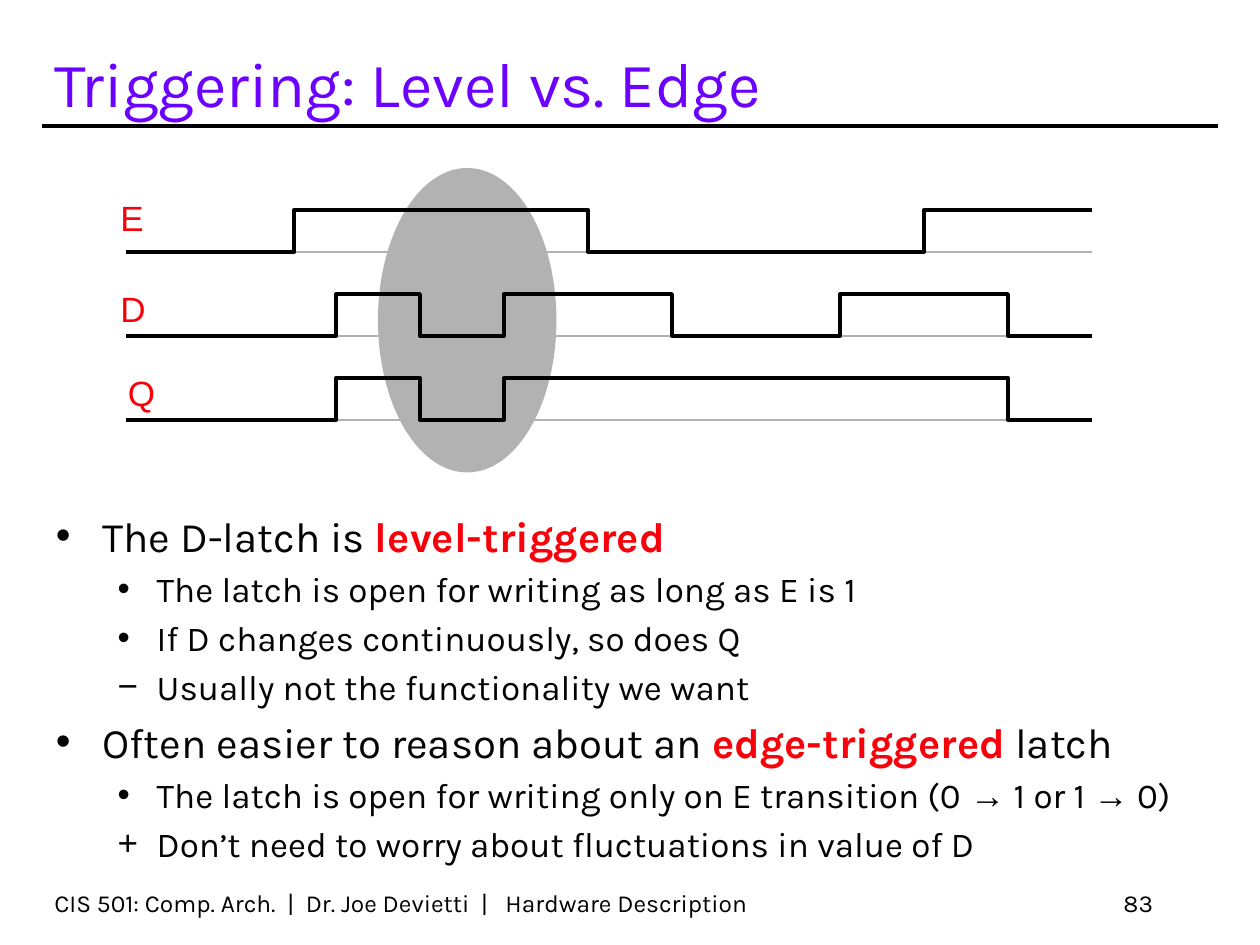
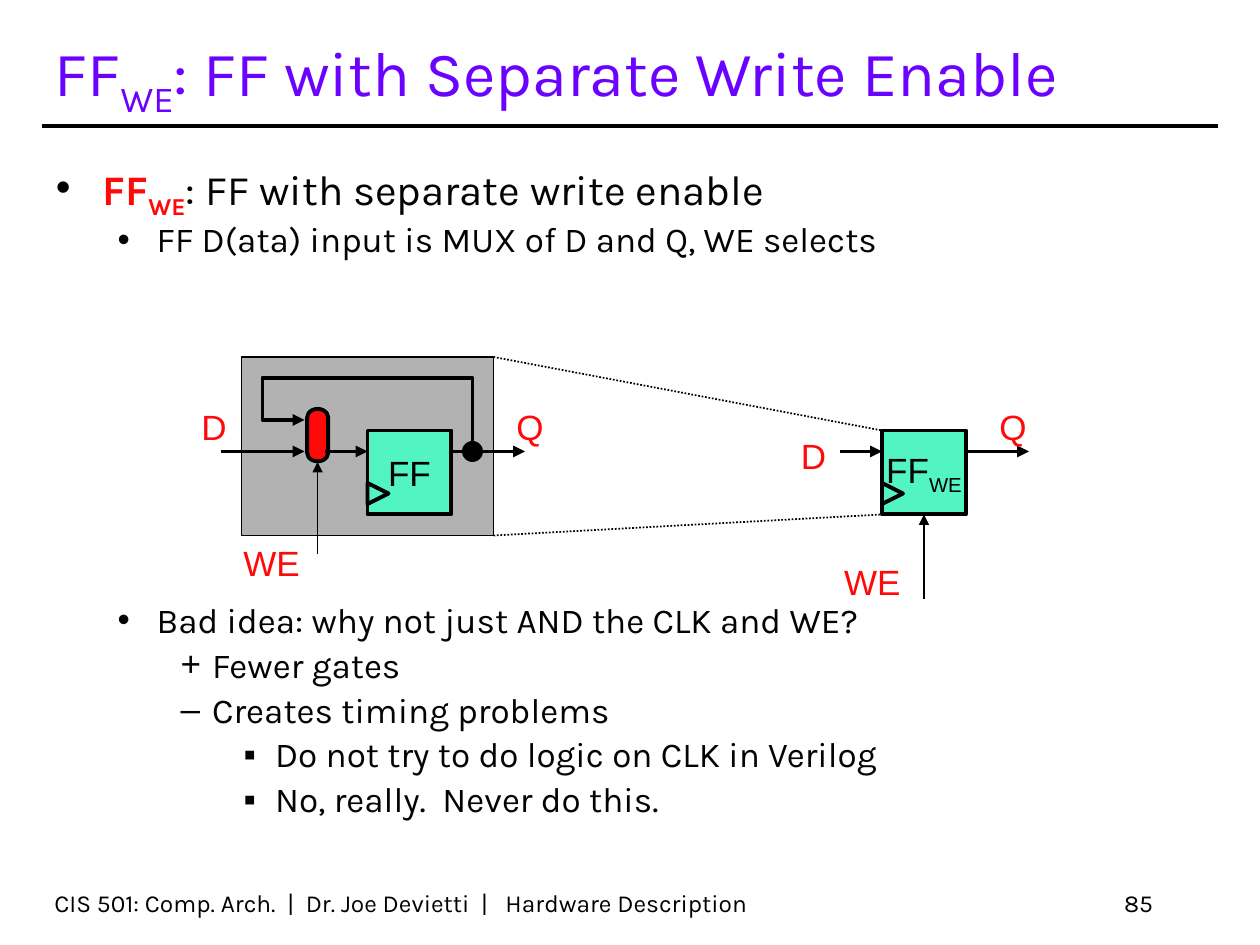
from dataclasses import dataclass

import lxml.etree
import pptx
import pptx.dml.color
import pptx.enum.dml
import pptx.enum.shapes
import pptx.enum.text
import pptx.oxml.ns
import pptx.util

SHAPE = pptx.enum.shapes.MSO_SHAPE
ANCHOR = pptx.enum.text.MSO_ANCHOR
ALIGN = pptx.enum.text.PP_ALIGN
CELL = pptx.util.Inches(1) // 12


@dataclass(frozen=True)
class Theme:
    font: str = "Karla"
    label_font: str = "Arial"
    title: str = "6B02FF"
    body: str = "030305"
    black: str = "000000"
    grey: str = "B2B2B2"
    mint: str = "52F4C2"
    crimson: str = "F7020B"
    red: str = "FF0909"
    title_size: int = 36
    top_size: int = 24
    sub_size: int = 20
    footer_size: int = 14
    thick: float = 2.25
    medium: float = 1.5
    thin: float = 1


T = Theme()

FOOTER = "CIS 501: Comp. Arch.  |  Dr. Joe Devietti  |   Hardware Description"
KEY = {"color": T.crimson, "bold": True}
FLIPFLOP = {"color": T.red, "bold": True}
SUB = {"sub": True}
ARROW = ("→", {"font": T.label_font})

LEVELS = [(0.38, -0.37), (0.81, -0.31), (1.25, -0.25), (1.75, -0.25)]

TRIGGERING = {
    "number": "83",
    "title": [("Triggering: Level vs. Edge", {})],
    "area": (4, 48, 112, 38),
    "spacing": 1.0,
    "list": [
        (0, "•", [("The D-latch is ", {}), ("level-triggered", KEY)]),
        (1, "•", [("The latch is open for writing as long as E is 1", {})]),
        (1, "•", [("If D changes continuously, so does Q", {})]),
        (1, "−", [("Usually not the functionality we want", {})]),
        (0, "•", [("Often easier to reason about an ", {}),
                  ("edge-triggered", KEY), (" latch", {})]),
        (1, "•", [("The latch is open for writing only on E transition (0 ", {}),
                  ARROW, (" 1 or 1 ", {}), ARROW, (" 0)", {})]),
        (1, "+", [("Don’t need to worry about fluctuations in value of D", {})]),
    ],
    "gaps": {},
}

WRITE_ENABLE = {
    "number": "85",
    "title": [("FF", {}), ("WE", SUB), (": FF with Separate Write Enable", {})],
    "area": (4, 15, 112, 68),
    "spacing": 0.9,
    "list": [
        (0, "•", [("FF", FLIPFLOP), ("WE", {**FLIPFLOP, **SUB}),
                  (": FF with separate write enable", {})]),
        (1, "•", [("FF D(ata) input is MUX of D and Q, WE selects", {})]),
        (1, "•", [("Bad idea: why not just AND the CLK and WE?", {})]),
        (2, "+", [("Fewer gates", {})]),
        (2, "–", [("Creates timing problems", {})]),
        (3, "▪", [("Do not try to do logic on CLK in Verilog", {})]),
        (3, "▪", [("No, really.  Never do this.", {})]),
    ],
    "gaps": {2: 196},
}

WAVE_LEFT, WAVE_STEP, WAVE_STEPS = 12, 4, 23
WAVES = [
    ("E", 24, (4, 11, 19), (10.3, 18.1)),
    ("D", 32, (5, 7, 9, 13, 17, 21), (10.3, 26.8)),
    ("Q", 40, (5, 7, 9, 21), (11, 34.8)),
]

LABEL_WIDTHS = {"E": 4.6, "D": 4.8, "Q": 4.9, "WE": 7.8}
CIRCUIT_LABELS = [
    ("D", 18, 38), ("Q", 48, 38), ("WE", 22, 51),
    ("D", 75.1, 40.8), ("Q", 94, 38), ("WE", 79.2, 52.8),
]
FLIPFLOPS = [(35, [("FF", {})]), (84, [("FF", {}), ("WE", SUB)])]
SIGNALS = [(21, 29), (31, 35), (43, 50), (80, 84), (92, 98)]
SIGNAL_ROW = 43
FEEDBACK = [(45, 43), (45, 36), (25, 36), (25, 40), (29, 40)]
ZOOM = [(47, 34, 84, 41), (47, 51, 84, 49)]


def cells(*values):
    return [round(v * CELL) for v in values]


def rgb(color):
    return pptx.dml.color.RGBColor.from_string(color)


def child(parent, tag, **attrs):
    return lxml.etree.SubElement(parent, pptx.oxml.ns.qn(tag), **attrs)


def write(p, runs, size, color, font=T.font):
    for text, style in runs:
        r = p.add_run()
        r.text = text
        r.font.name = style.get("font", font)
        r.font.size = pptx.util.Pt(size)
        r.font.bold = style.get("bold", False)
        r.font.color.rgb = rgb(style.get("color", color))
        if style.get("sub"):
            r._r.get_or_add_rPr().set("baseline", "-25000")


def frame(sp, anchor=ANCHOR.TOP, wrap=True):
    tf = sp.text_frame
    tf.auto_size = pptx.enum.text.MSO_AUTO_SIZE.NONE
    tf.word_wrap = wrap
    tf.vertical_anchor = anchor
    return tf


def place(sp, area):
    sp.left, sp.top, sp.width, sp.height = cells(*area)


def text_box(s, area, text, size, color, font=T.font, anchor=ANCHOR.TOP,
             align=ALIGN.LEFT, wrap=True):
    p = frame(s.shapes.add_textbox(*cells(*area)), anchor, wrap).paragraphs[0]
    p.alignment = align
    write(p, [(text, {})], size, color, font)


def label(s, text, left, top, color):
    text_box(s, (left, top, LABEL_WIDTHS[text], 5.2), text, T.sub_size, color,
             T.label_font, wrap=False)


def outline(sp, color, width, arrow=False):
    sp.line.color.rgb = rgb(color)
    sp.line.width = pptx.util.Pt(width)
    if arrow:
        child(sp.line._get_or_add_ln(), "a:tailEnd", type="triangle")


def connect(s, start, end, color=T.black, width=T.thick, arrow=False, dotted=False):
    line = s.shapes.add_connector(pptx.enum.shapes.MSO_CONNECTOR.STRAIGHT,
                                  *cells(*start, *end))
    if dotted:
        line.line.dash_style = pptx.enum.dml.MSO_LINE.ROUND_DOT
    outline(line, color, width, arrow)
    child(line._element.spPr, "a:effectLst")
    return line


def shape(s, kind, area, fill, width=None, rotation=0):
    sp = s.shapes.add_shape(kind, *cells(*area))
    sp.shadow.inherit = False
    sp.rotation = rotation
    sp.fill.solid()
    sp.fill.fore_color.rgb = rgb(fill)
    if width:
        outline(sp, T.black, width)
    else:
        sp.line.fill.background()
    return sp


def polyline(s, points, arrow=False):
    builder = s.shapes.build_freeform(*points[0], scale=CELL)
    builder.add_line_segments(points[1:], close=False)
    sp = builder.convert_to_shape()
    sp.shadow.inherit = False
    sp.fill.background()
    outline(sp, T.black, T.thick, arrow)


def fill_list(body, content):
    tf = frame(body)
    for i, (level, bullet, runs) in enumerate(content["list"]):
        p = tf.paragraphs[0] if i == 0 else tf.add_paragraph()
        p.level = level
        p.line_spacing = content["spacing"]
        gap = 4 if level else 4.8
        p.space_before = pptx.util.Pt(content["gaps"].get(i, gap) if i else 0)
        pPr = p._p.get_or_add_pPr()
        margin, indent = LEVELS[level]
        pPr.set("marL", str(pptx.util.Inches(margin)))
        pPr.set("indent", str(pptx.util.Inches(indent)))
        child(child(pPr, "a:buClr"), "a:srgbClr", val=T.body)
        child(pPr, "a:buChar", char=bullet)
        write(p, runs, T.sub_size if level else T.top_size, T.body)


def new_slide(prs, content):
    s = prs.slides.add_slide(prs.slide_layouts[1])
    title, body = s.shapes.title, s.placeholders[1]
    place(title, (4, 3, 106, 9))
    p = frame(title, ANCHOR.BOTTOM).paragraphs[0]
    p.alignment = ALIGN.LEFT
    write(p, content["title"], T.title_size, T.title)
    place(body, content["area"])
    fill_list(body, content)
    connect(s, (4, 12), (116, 12))
    for area, text, align in [((4, 84, 75, 4), FOOTER, ALIGN.LEFT),
                              ((86, 84, 25, 4), content["number"], ALIGN.RIGHT)]:
        text_box(s, area, text, T.footer_size, T.black,
                 anchor=ANCHOR.BOTTOM, align=align)
    return s


def draw_waves(s):
    shape(s, SHAPE.OVAL, (36, 16, 17, 29), T.grey)
    right = WAVE_LEFT + WAVE_STEP * WAVE_STEPS
    for _, base, _, _ in WAVES:
        connect(s, (WAVE_LEFT, base), (right, base), T.grey, T.medium)
    for name, base, edges, spot in WAVES:
        label(s, name, *spot, T.crimson)
        levels = [base, base - WAVE_STEP]
        points = [(WAVE_LEFT, base)]
        for i, edge in enumerate(edges):
            x = WAVE_LEFT + WAVE_STEP * edge
            points += [(x, levels[i % 2]), (x, levels[(i + 1) % 2])]
        polyline(s, points + [(right, levels[len(edges) % 2])])


def draw_circuit(s):
    shape(s, SHAPE.RECTANGLE, (23, 34, 24, 17), T.grey, T.thin)
    for left, name in FLIPFLOPS:
        flipflop = shape(s, SHAPE.RECTANGLE, (left, 41, 8, 8), T.mint, T.thick)
        p = frame(flipflop, ANCHOR.MIDDLE, wrap=False).paragraphs[0]
        p.alignment = ALIGN.CENTER
        write(p, name, T.sub_size, T.black, T.label_font)
        shape(s, SHAPE.ISOSCELES_TRIANGLE, (left, 46, 2, 2), T.mint, T.thick, 90)
    shape(s, SHAPE.FLOWCHART_TERMINATOR, (27.75, 40.45, 5, 2), T.red, T.thick, 90)
    for start, end in SIGNALS:
        connect(s, (start, SIGNAL_ROW), (end, SIGNAL_ROW), arrow=True)
    polyline(s, FEEDBACK, arrow=True)
    connect(s, (30.25, 52.8), (30.25, 44), width=T.thin, arrow=True)
    enable = connect(s, (88, 57), (88, 49), width=T.thin, arrow=True)
    enable.end_connect(flipflop, 2)
    shape(s, SHAPE.FLOWCHART_CONNECTOR, (44, 42, 2, 2), T.black)
    for x1, y1, x2, y2 in ZOOM:
        connect(s, (x1, y1), (x2, y2), width=T.thin, dotted=True)
    for text, left, top in CIRCUIT_LABELS:
        label(s, text, left, top, T.red)


def main():
    prs = pptx.Presentation()
    prs.slide_width, prs.slide_height = cells(120, 90)
    draw_waves(new_slide(prs, TRIGGERING))
    draw_circuit(new_slide(prs, WRITE_ENABLE))
    prs.save("out.pptx")


if __name__ == "__main__":
    main()
